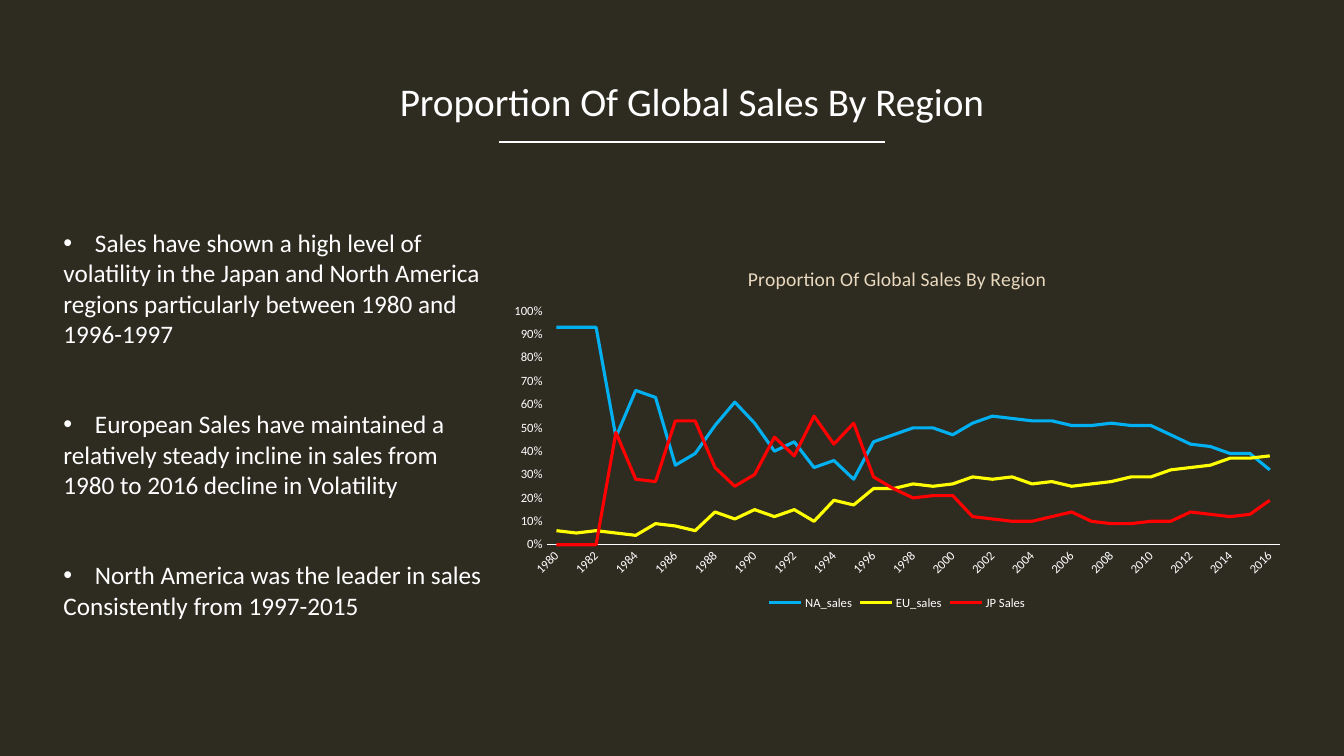
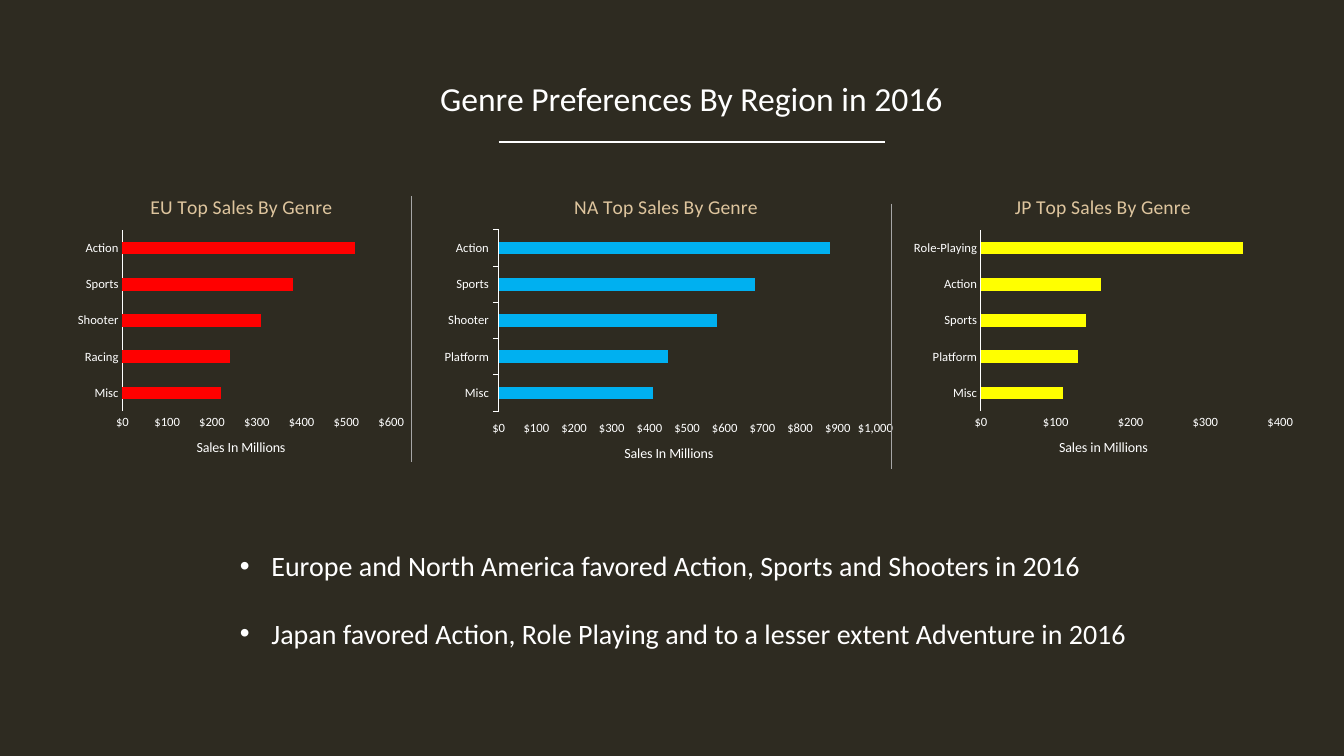
"""Build two slides on game sales by region and by genre."""
import pptx
import pptx.chart.data
import pptx.dml.color
import pptx.enum.chart
import pptx.enum.text
import pptx.enum.shapes
import pptx.oxml
import pptx.oxml.ns
import pptx.util

PX = 9525
FONT = "Calibri"
DARK = pptx.dml.color.RGBColor(0x2E, 0x2B, 0x21)
WHITE = pptx.dml.color.RGBColor(0xFF, 0xFF, 0xFF)
SAND = pptx.dml.color.RGBColor(0xE9, 0xD9, 0xBE)
TAN = pptx.dml.color.RGBColor(0xDE, 0xC5, 0x9E)
GREY = pptx.dml.color.RGBColor(0xA6, 0xA6, 0xA6)
BLUE = pptx.dml.color.RGBColor(0x00, 0xB0, 0xF0)
YELLOW = pptx.dml.color.RGBColor(0xFF, 0xFF, 0x00)
RED = pptx.dml.color.RGBColor(0xFF, 0x00, 0x00)

TICK = pptx.enum.chart.XL_TICK_MARK
CHART_TYPE = pptx.enum.chart.XL_CHART_TYPE
BULLET_INDENT = 30

SHARES = (
    ("NA_sales", BLUE, (
        0.93, 0.93, 0.93, 0.46, 0.66, 0.63, 0.34, 0.39, 0.51, 0.61, 0.52, 0.4, 0.44,
        0.33, 0.36, 0.28, 0.44, 0.47, 0.5, 0.5, 0.47, 0.52, 0.55, 0.54, 0.53, 0.53,
        0.51, 0.51, 0.52, 0.51, 0.51, 0.47, 0.43, 0.42, 0.39, 0.39, 0.32)),
    ("EU_sales", YELLOW, (
        0.06, 0.05, 0.06, 0.05, 0.04, 0.09, 0.08, 0.06, 0.14, 0.11, 0.15, 0.12, 0.15,
        0.1, 0.19, 0.17, 0.24, 0.24, 0.26, 0.25, 0.26, 0.29, 0.28, 0.29, 0.26, 0.27,
        0.25, 0.26, 0.27, 0.29, 0.29, 0.32, 0.33, 0.34, 0.37, 0.37, 0.38)),
    ("JP Sales", RED, (
        0, 0, 0, 0.48, 0.28, 0.27, 0.53, 0.53, 0.33, 0.25, 0.3, 0.46, 0.38,
        0.55, 0.43, 0.52, 0.29, 0.24, 0.2, 0.21, 0.21, 0.12, 0.11, 0.1, 0.1, 0.12,
        0.14, 0.1, 0.09, 0.09, 0.1, 0.1, 0.14, 0.13, 0.12, 0.13, 0.19)),
)

SALES_POINTS = (
    ("Sales have shown a high level of",
     "volatility in the Japan and North America",
     "regions particularly between 1980 and",
     "1996-1997"),
    ("European Sales have maintained a",
     "relatively steady incline in sales from",
     "1980 to 2016 decline in Volatility"),
    ("North America was the leader in sales",
     "Consistently from 1997-2015"),
)

GENRE_POINTS = (
    ("Europe and North America favored Action, Sports and Shooters in 2016",),
    ("Japan favored Action, Role Playing and to a lesser extent Adventure in 2016",),
)


def px(*lengths):
    """Turn px lengths into EMU."""
    return [pptx.util.Emu(length * PX) for length in lengths]


def style_font(font, size, color=WHITE):
    """Give a font the deck's typeface, with a size and a colour."""
    font.name = FONT
    font.size = pptx.util.Pt(size)
    font.bold = False
    font.color.rgb = color


def add_line(slide, ends, color, width):
    """Draw a straight line without a shadow."""
    line = slide.shapes.add_connector(pptx.enum.shapes.MSO_CONNECTOR.STRAIGHT, *px(*ends))
    line.line.color.rgb = color
    line.line.width = pptx.util.Pt(width)
    line._element.spPr.append(pptx.oxml.parse_xml(
        f"<a:effectLst {pptx.oxml.ns.nsdecls('a')}/>"))


def add_titled_slide(deck, text, area, size):
    """Add a slide with a centred title and the rule below it."""
    slide = deck.slides.add_slide(deck.slide_layouts[5])
    title = slide.shapes.title
    title.left, title.top, title.width, title.height = px(*area)
    frame = title.text_frame
    frame.text = text
    frame.auto_size = pptx.enum.text.MSO_AUTO_SIZE.NONE
    frame.vertical_anchor = pptx.enum.text.MSO_ANCHOR.MIDDLE
    para = frame.paragraphs[0]
    para.alignment = pptx.enum.text.PP_ALIGN.CENTER
    style_font(para.runs[0].font, size)
    add_line(slide, (475, 135, 843, 135), WHITE, 1.5)
    return slide


def add_bullet(para):
    """Give a paragraph a hanging round bullet."""
    properties = para._p.get_or_add_pPr()
    properties.set("marL", str(BULLET_INDENT * PX))
    properties.set("indent", str(-BULLET_INDENT * PX))
    for markup in ('<a:buFont {} typeface="Arial"/>', '<a:buChar {} char="•"/>'):
        properties.append(pptx.oxml.parse_xml(markup.format(pptx.oxml.ns.nsdecls("a"))))


def add_points(slide, points, area, size, gap):
    """Write bulleted points whose later lines return to the left edge."""
    box = slide.shapes.add_textbox(*px(*area))
    frame = box.text_frame
    frame.word_wrap = True
    lines = [(text, index == 0) for point in points for index, text in enumerate(point)]
    for number, (text, starts_point) in enumerate(lines):
        para = frame.add_paragraph() if number else frame.paragraphs[0]
        para.text = text
        if starts_point:
            add_bullet(para)
            if number:
                para.space_before = pptx.util.Pt(gap)
        style_font(para.runs[0].font, size)


def set_plot_layout(chart, **fractions):
    """Fix the inner plot area as fractions of the chart."""
    plot_area = chart._chartSpace.chart.plotArea
    for old in plot_area.findall(pptx.oxml.ns.qn("c:layout")):
        plot_area.remove(old)
    values = "".join(f'<c:{key} val="{value}"/>' for key, value in fractions.items())
    plot_area.insert(0, pptx.oxml.parse_xml(
        f"<c:layout {pptx.oxml.ns.nsdecls('c')}><c:manualLayout>"
        '<c:layoutTarget val="inner"/><c:xMode val="edge"/><c:yMode val="edge"/>'
        f"{values}</c:manualLayout></c:layout>"))


def style_axes(chart, number_format, maximum, step, tick):
    """Format both axes of a chart."""
    for axis in (chart.category_axis, chart.value_axis):
        axis.has_major_gridlines = False
        axis.major_tick_mark = tick
        axis.minor_tick_mark = TICK.NONE
        style_font(axis.tick_labels.font, 9)
    chart.category_axis.format.line.color.rgb = WHITE
    chart.category_axis.format.line.width = pptx.util.Pt(0.75)
    values = chart.value_axis
    values.format.line.fill.background()
    values.minimum_scale = 0
    values.maximum_scale = maximum
    values.major_unit = step
    values.tick_labels.number_format = number_format
    values.tick_labels.number_format_is_linked = False


def add_chart(slide, kind, area, title, title_color, categories, series):
    """Add a chart with a title and the deck's font."""
    data = pptx.chart.data.CategoryChartData()
    data.categories = categories
    for name, values in series:
        data.add_series(name, values)
    chart = slide.shapes.add_chart(kind, *px(*area), data).chart
    style_font(chart.font, 10)
    chart.has_title = True
    frame = chart.chart_title.text_frame
    frame.text = title
    style_font(frame.paragraphs[0].runs[0].font, 14, title_color)
    chart.chart_title.include_in_layout = False
    chart.has_legend = False
    return chart


def add_share_chart(slide):
    """Add the line chart of each region's share of sales."""
    years = [str(year) for year in range(1980, 2017)]
    chart = add_chart(slide, CHART_TYPE.LINE, (475, 237, 759, 348),
                      "Proportion Of Global Sales By Region", SAND, years,
                      [(name, values) for name, _, values in SHARES])
    style_axes(chart, "0%", 1, 0.1, TICK.NONE)
    label_body = chart.category_axis._element.find(
        f"{pptx.oxml.ns.qn('c:txPr')}/{pptx.oxml.ns.qn('a:bodyPr')}")
    label_body.set("rot", "-60000000")
    label_body.set("vert", "horz")
    for series, (_, color, _) in zip(chart.plots[0].series, SHARES):
        series.smooth = False
        series.marker.style = pptx.enum.chart.XL_MARKER_STYLE.NONE
        series.format.line.color.rgb = color
        series.format.line.width = pptx.util.Pt(2.25)
    chart.has_legend = True
    chart.legend.position = pptx.enum.chart.XL_LEGEND_POSITION.BOTTOM
    chart.legend.include_in_layout = False
    style_font(chart.legend.font, 9)
    set_plot_layout(chart, x=0.06, y=0.17, w=0.92, h=0.64)


def add_genre_chart(slide, region, left, width, color, sales, maximum,
                    plot_left, plot_width, axis_title="Sales In Millions", tick=TICK.NONE):
    """Add a bar chart of one region's top genres."""
    chart = add_chart(slide, CHART_TYPE.BAR_CLUSTERED, (left, 170, width, 288),
                      f"{region} Top Sales By Genre", TAN, list(sales),
                      [("Series 1", list(sales.values()))])
    style_axes(chart, '"$"#,##0', maximum, 100, tick)
    frame = chart.value_axis.axis_title.text_frame
    frame.text = axis_title
    style_font(frame.paragraphs[0].runs[0].font, 10)
    plot = chart.plots[0]
    plot.gap_width = 182
    plot.vary_by_categories = False
    fill = plot.series[0].format.fill
    fill.solid()
    fill.fore_color.rgb = color
    set_plot_layout(chart, x=plot_left, y=0.17, w=plot_width, h=0.6)


def build_share_slide(deck):
    """Build the slide on regional shares."""
    slide = add_titled_slide(deck, "Proportion Of Global Sales By Region",
                             (362, 69, 594, 55), 28)
    add_points(slide, SALES_POINTS, (51, 212, 452, 388), 18, 43)
    add_share_chart(slide)


def build_genre_slide(deck):
    """Build the slide on genre preferences."""
    slide = add_titled_slide(deck, "Genre Preferences By Region in 2016",
                             (378, 69, 561, 48), 24)
    add_genre_chart(slide, "EU", 68, 324, RED,
                    {"Misc": 220, "Racing": 240, "Shooter": 310, "Sports": 380, "Action": 520},
                    600, 0.15, 0.79)
    add_genre_chart(slide, "NA", 413, 443, BLUE,
                    {"Misc": 410, "Platform": 450, "Shooter": 580, "Sports": 680, "Action": 880},
                    1000, 0.14, 0.81, tick=TICK.OUTSIDE)
    add_genre_chart(slide, "JP", 863, 375, YELLOW,
                    {"Misc": 110, "Platform": 130, "Sports": 140, "Action": 160,
                     "Role-Playing": 350},
                    400, 0.19, 0.76, axis_title="Sales in Millions")
    for left, top in ((392, 187), (849, 194)):
        add_line(slide, (left, top, left, top + 253), GREY, 0.75)
    add_points(slide, GENRE_POINTS, (219, 518, 880, 108), 20, 24)


def main():
    """Build and save the deck."""
    deck = pptx.Presentation()
    deck.slide_width, deck.slide_height = px(1280, 720)
    fill = deck.slide_master.background.fill
    fill.solid()
    fill.fore_color.rgb = DARK
    build_share_slide(deck)
    build_genre_slide(deck)
    deck.save("out.pptx")


if __name__ == "__main__":
    main()
